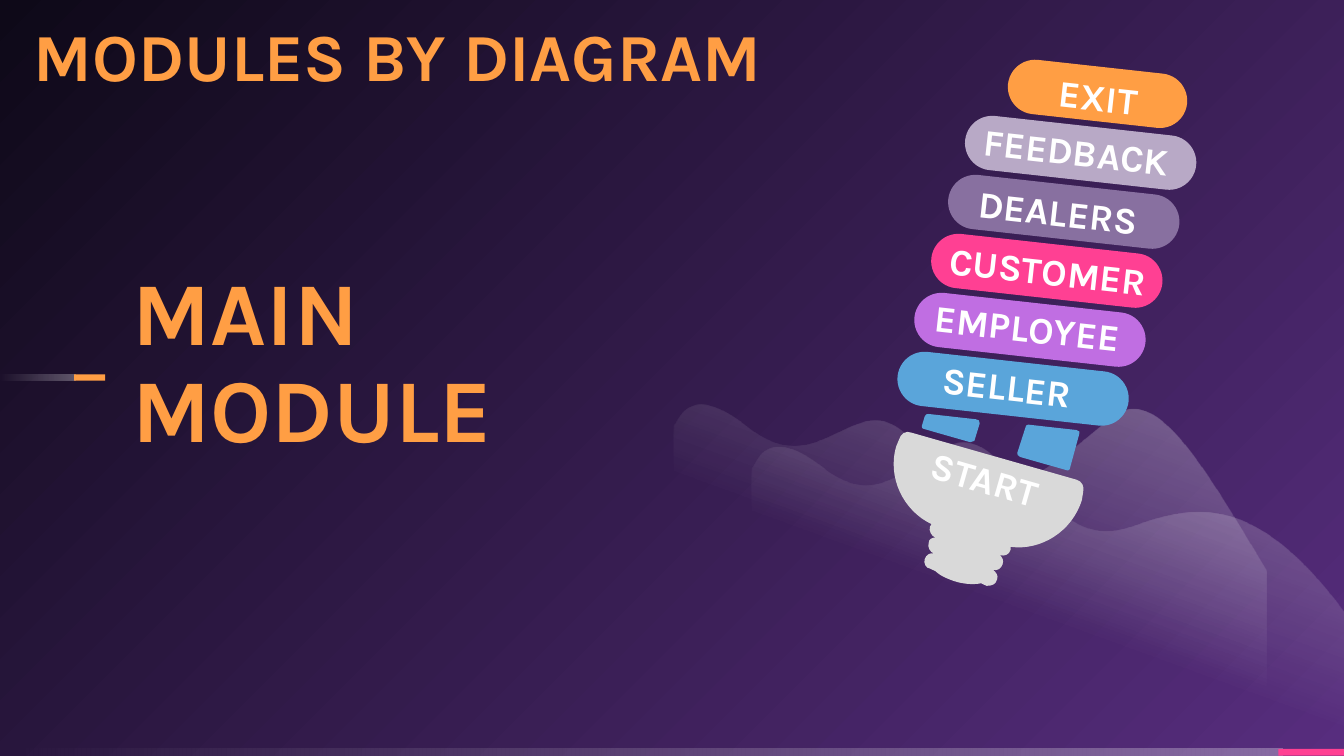
from math import cos, radians, sin

from lxml import etree
from pptx import Presentation
from pptx.dml.color import RGBColor
from pptx.enum.shapes import MSO_SHAPE
from pptx.enum.text import MSO_ANCHOR, MSO_AUTO_SIZE, PP_ALIGN
from pptx.oxml.ns import qn
from pptx.util import Pt

RECT, PILL = MSO_SHAPE.RECTANGLE, MSO_SHAPE.ROUNDED_RECTANGLE
MIDDLE, BOTTOM = MSO_ANCHOR.MIDDLE, MSO_ANCHOR.BOTTOM
LEFT, CENTER = PP_ALIGN.LEFT, PP_ALIGN.CENTER
FIXED = MSO_AUTO_SIZE.NONE

WHITE = RGBColor(0xFF, 0xFF, 0xFF)
ORANGE = RGBColor(0xFF, 0x9E, 0x44)
PINK = RGBColor(0xFF, 0x40, 0x93)
LILAC = RGBColor(0xB8, 0xA9, 0xC6)
MAUVE = RGBColor(0x88, 0x70, 0xA0)
VIOLET = RGBColor(0xC0, 0x6E, 0xE2)
BLUE = RGBColor(0x5A, 0xA5, 0xDA)
GREY = RGBColor(0xD9, 0xD9, 0xD9)
PURPLE = RGBColor(0x57, 0x2D, 0x7E)
NIGHT = RGBColor(0x0E, 0x09, 0x18)

FONT = "Karla"
HEAD = "MODULES BY DIAGRAM"
TITLE = "MAIN\vMODULE"

# label, colour, pill width, label centre
STEPS = [
    ("EXIT", ORANGE, 96.5, (588.4, 53.2)),
    ("FEEDBACK", LILAC, 124.5, (576.6, 82.4)),
    ("DEALERS", MAUVE, 124.5, (566.8, 114.8)),
    ("CUSTOMER", PINK, 124.5, (561.2, 146.3)),
    ("EMPLOYEE", VIOLET, 124.5, (550.3, 176.8)),
    ("SELLER", BLUE, 124.5, (539.3, 208.4)),
]
START = ("START", (527.2, 257.9))
TOP, STEP, THICK = (588, 50.3), (-9.05, 31.6), 29.2
TILT, LEAN = 6.3, 16.1

FADE = [(0, WHITE, 30), (100, WHITE, 0)]
MIST = [(0, WHITE, 30), (47, WHITE, 0), (100, WHITE, 0)]
BARS = [
    ((0, 401.2, 686.9, 3.6), None),
    ((684.9, 401.2, 35.1, 3.6), PINK),
    ((0, 200.6, 40.3, 3.4), None),
    ((39.8, 200.6, 16.6, 3.4), ORANGE),
]

WAVES = [
    ((360.7, 216.7, 317.5, 208.1), [
        (401, 229), (367.9, 202.3, 363.6, 227.5, 361.4, 227.5),
        (361.4, 227.5, 360.7, 234, 361.4, 255.6), (678.2, 424.8), (678.2, 306),
        (642.2, 246.2, 618.5, 204.5, 594.7, 223.9),
        (554.4, 257, 534.2, 279.4, 486, 233.3),
        (457.9, 205.9, 439.9, 259.9, 401, 229)]),
    ((402.5, 236.9, 317.5, 210.2), [
        (442.1, 251.3), (409.7, 225.4, 405.4, 249.8, 403.2, 250.6),
        (403.2, 250.6, 402.5, 256.3, 403.2, 277.9), (720, 447.1), (720, 328.3),
        (668.9, 259.2, 635, 272.2, 605.5, 282.2),
        (576.7, 291.6, 566.6, 271.4, 529.9, 242.6),
        (500.4, 218.9, 481.7, 282.2, 442.1, 251.3)]),
]
PARTS = [
    (GREY, (470.9, 242.6, 103, 69.8), [
        (576.7, 257), (488.2, 231.8), (485.3, 230.4, 482.4, 232.6, 481.7, 235.4),
        (480.2, 239), (475.2, 255.6, 483.8, 273.6, 499, 280.8), (498.2, 282.2),
        (497.5, 284.4, 499, 287.3, 501.1, 288),
        (499.7, 288, 497.5, 288.7, 497.5, 290.9),
        (496.8, 293, 498.2, 295.9, 500.4, 296.6),
        (498.2, 295.9, 496.1, 297.4, 495.4, 299.5),
        (494.6, 301.7, 496.1, 304.6, 498.2, 304.6), (501.1, 306),
        (503.3, 308.2, 507.6, 310.3, 512.6, 311.8),
        (517.7, 313.2, 522.7, 313.2, 525.6, 312.5), (528.5, 313.9),
        (531.4, 313.9, 533.5, 313.2, 534.2, 310.3),
        (535, 308.2, 533.5, 306.7, 532.1, 305.3),
        (534.2, 306, 536.4, 304.6, 537.1, 302.4),
        (537.8, 300.2, 537.1, 298.8, 535.7, 297.4),
        (537.8, 298.1, 540.7, 297.4, 541.4, 294.5), (541.4, 293),
        (558, 295.2, 574.6, 284.4, 579.6, 267.8), (580.3, 263.5),
        (581, 260.6, 579.6, 257.8, 576.7, 257)]),
    (BLUE, (494.6, 220.3, 28.8, 13), [
        (522, 236.2), (524.9, 226.8), (524.9, 225.4, 524.2, 224.6, 522.7, 224.6),
        (497.5, 221.8), (496.8, 221.8, 495.4, 221.8, 495.4, 223.2),
        (493.9, 228.2), (493.9, 229, 493.9, 229.7, 494.6, 229.7),
        (519.8, 236.9), (520.6, 236.9, 521.3, 236.9, 522, 236.2)]),
    (BLUE, (547.2, 226.1, 28.8, 22.3), [
        (573.1, 251.3), (578.2, 232.6), (578.9, 231.8, 578.2, 230.4, 576.7, 230.4),
        (550.8, 227.5), (550.1, 227.5, 549.4, 228.2, 549.4, 229),
        (545, 242.6), (545, 243.4, 545, 244.1, 546.5, 244.8),
        (571.7, 252), (572.4, 252, 573.1, 252, 573.1, 251.3)]),
]


def blend(fill, root, stops, angle=None):
    fill.gradient()
    grad = root.find(".//" + qn("a:gradFill"))
    for child in list(grad):
        grad.remove(child)
    items = etree.SubElement(grad, qn("a:gsLst"))
    for pos, color, alpha in stops:
        stop = etree.SubElement(items, qn("a:gs"), pos=str(pos * 1000))
        tone = etree.SubElement(stop, qn("a:srgbClr"), val=str(color))
        if alpha < 100:
            etree.SubElement(tone, qn("a:alpha"), val=str(alpha * 1000))
    if angle is None:
        ring = etree.SubElement(grad, qn("a:path"), path="circle")
        etree.SubElement(ring, qn("a:fillToRect"), l="100000", t="100000")
    else:
        etree.SubElement(grad, qn("a:lin"), ang=str(angle * 60000), scaled="0")


def paint(shape, color):
    shape.shadow.inherit = False
    shape.line.fill.background()
    if color is not None:
        shape.fill.solid()
        shape.fill.fore_color.rgb = color


def block(kind, box, color):
    shape = slide.shapes.add_shape(kind, *map(Pt, box))
    paint(shape, color)
    return shape


def trace(outline, box, color, angle=0):
    x, y, w, h = box
    pen = slide.shapes.build_freeform(Pt(x), Pt(y))
    pen.add_line_segments([(Pt(x + w), Pt(y)), (Pt(x + w), Pt(y + h)), (Pt(x), Pt(y + h))])
    shape = pen.convert_to_shape()
    shape.rotation = angle
    route = shape.element.find(".//" + qn("a:path"))
    for child in list(route):
        route.remove(child)
    c, s = cos(radians(angle)), sin(radians(angle))
    for n, seg in enumerate(outline):
        tag = "a:moveTo" if n == 0 else "a:lnTo" if len(seg) == 2 else "a:cubicBezTo"
        move = etree.SubElement(route, qn(tag))
        for px, py in zip(seg[::2], seg[1::2]):
            dx, dy = px - x - w / 2, py - y - h / 2
            etree.SubElement(move, qn("a:pt"), x=str(Pt(w / 2 + dx * c + dy * s)),
                             y=str(Pt(h / 2 - dx * s + dy * c)))
    etree.SubElement(route, qn("a:close"))
    paint(shape, color)
    return shape


def write(shape, text, size, color, align, anchor):
    frame = shape.text_frame
    frame.text = text
    frame.word_wrap = True
    frame.auto_size = FIXED
    frame.vertical_anchor = anchor
    frame.margin_left = frame.margin_right = 0
    frame.margin_top = frame.margin_bottom = 0
    para = frame.paragraphs[0]
    para.alignment = align
    para.line_spacing = 0.9
    para.space_before = Pt(0)
    for run in para.runs:
        run.font.name = FONT
        run.font.size = Pt(size)
        run.font.bold = True
        run.font.color.rgb = color


def label(text, spot, angle):
    x, y = spot
    box = slide.shapes.add_textbox(Pt(x - 100.8), Pt(y - 13.3), Pt(201.6), Pt(26.6))
    box.rotation = angle
    write(box, text, 20, WHITE, CENTER, MIDDLE)


deck = Presentation()
deck.slide_width, deck.slide_height = Pt(720), Pt(405)
slide = deck.slides.add_slide(deck.slide_layouts[0])
blend(slide.background.fill, slide.element, [(0, PURPLE, 100), (100, NIGHT, 100)])

sub = slide.placeholders[1].element
sub.getparent().remove(sub)
title = slide.shapes.title
title.left, title.top, title.width, title.height = map(Pt, (71, 135.8, 221, 119.5))
write(title, TITLE, 48, ORANGE, LEFT, MIDDLE)

for box, color in BARS:
    bar = block(RECT, box, color)
    if color is None:
        blend(bar.fill, bar.element, FADE, 180)
for box, outline in WAVES:
    wave = trace(outline, box, None)
    blend(wave.fill, wave.element, MIST, 110)

for color, box, outline in PARTS:
    trace(outline, box, color, LEAN)
for n, (text, color, wide, spot) in enumerate(STEPS):
    x, y = (a + n * d for a, d in zip(TOP, STEP))
    pill = block(PILL, (x - wide / 2, y - THICK / 2, wide, THICK), color)
    pill.adjustments[0] = 0.5
    pill.rotation = TILT
    label(text, spot, TILT)
label(*START, LEAN)

head = slide.shapes.add_textbox(Pt(18.2), Pt(0), Pt(467.3), Pt(51.4))
write(head, HEAD, 36, ORANGE, LEFT, BOTTOM)

deck.save("out.pptx")
